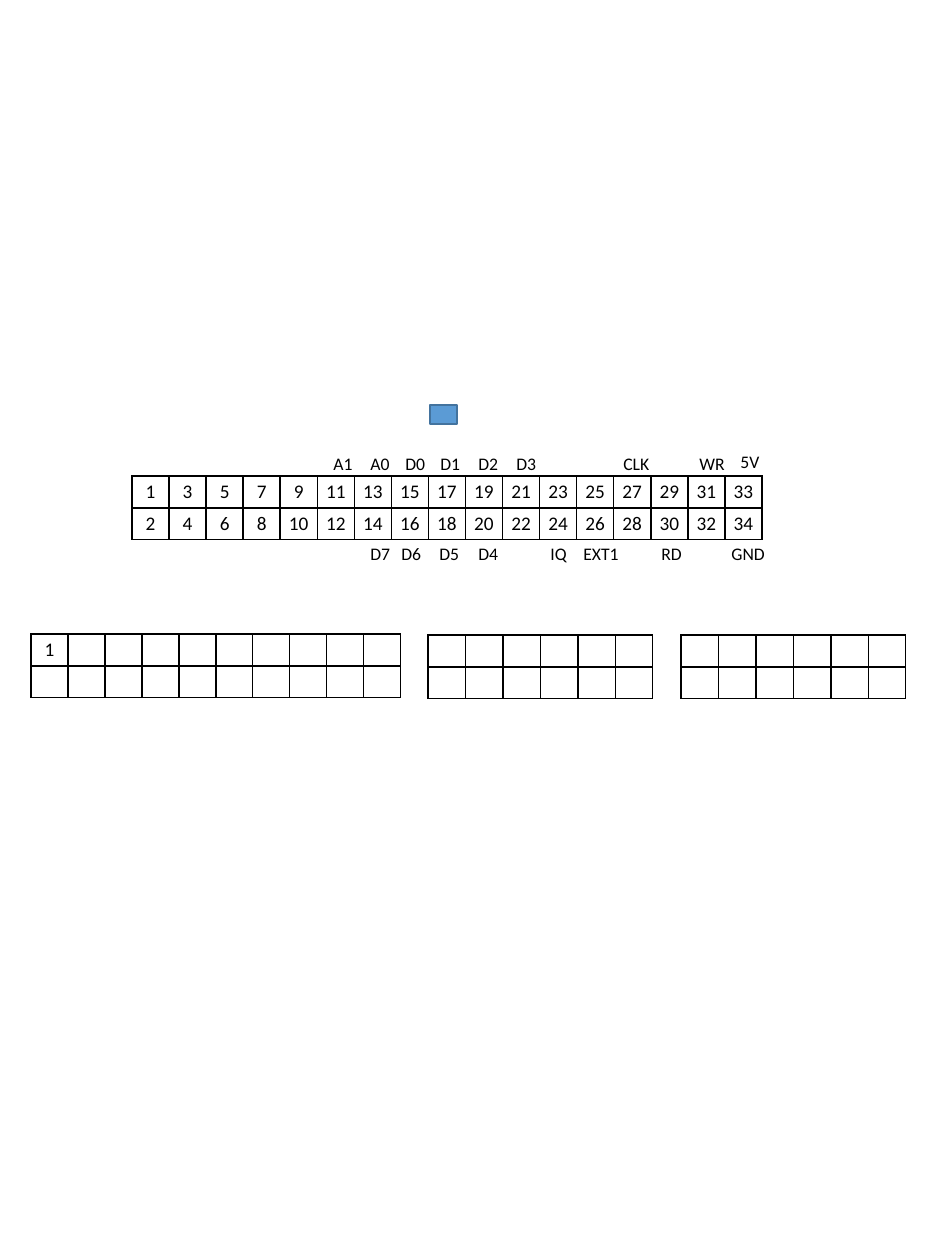
"""Build a connector pinout slide: a numbered header, signal labels and three blank headers."""
from lxml import etree
from pptx import Presentation, util as u
from pptx.dml.color import RGBColor
from pptx.enum import shapes, text
from pptx.oxml.ns import qn

SCALE = 914400 / 126
THEME = {
    "font": "Calibri",
    "ink": RGBColor.from_string("000000"),
    "fill": RGBColor.from_string("5B9BD5"),
    "edge": RGBColor.from_string("43739E"),
    "pin_size": u.Pt(11),
    "label_size": u.Pt(10.1),
    "line": u.Pt(1),
}


def px(length):
    return u.Emu(round(length * SCALE))


def write(para, words, size):
    span = para.add_run()
    span.text = words
    for name, value in {"name": THEME["font"], "size": size}.items():
        setattr(span.font, name, value)
    span.font.color.rgb = THEME["ink"]


deck = Presentation()
deck.slide_width, deck.slide_height = px(945), px(1260)
page = deck.slides.add_slide(deck.slide_layouts[6])

ROW_HEIGHT = 30
CELL_FORMAT = {
    "margin_left": px(8), "margin_right": px(8),
    "margin_top": px(4), "margin_bottom": px(4),
}
TABLE_FORMAT = {"first_row": False, "horz_banding": False}
headers = [
    (132, 476, 630, 17, 34),
    (31, 634, 370, 10, 1),
    (428, 635, 225, 6, 0),
    (681, 635, 225, 6, 0),
]
for left, top, width, columns, pins in headers:
    frame = page.shapes.add_table(2, columns, px(left), px(top), px(width), px(2 * ROW_HEIGHT))
    table = frame.table
    for name, value in TABLE_FORMAT.items():
        setattr(table, name, value)
    for column in table.columns:
        column.width = px(width / columns)
    for index in range(2 * columns):
        cell = table.cell(index % 2, index // 2)
        for name, value in CELL_FORMAT.items():
            setattr(cell, name, value)
        properties = cell._tc.get_or_add_tcPr()
        for side in ("lnL", "lnR", "lnT", "lnB"):
            border = etree.SubElement(properties, qn(f"a:{side}"), w=str(THEME["line"]))
            solid = etree.SubElement(border, qn("a:solidFill"))
            etree.SubElement(solid, qn("a:srgbClr"), val=str(THEME["ink"]))
        cell.fill.background()
        para = cell.text_frame.paragraphs[0]
        para.alignment = text.PP_ALIGN.CENTER
        if index < pins:
            write(para, str(index + 1), THEME["pin_size"])
        else:
            size = str(round(THEME["pin_size"].pt * 100))
            etree.SubElement(para._p, qn("a:endParaRPr"), sz=size)

marker = page.shapes.add_shape(shapes.MSO_SHAPE.RECTANGLE, px(430), px(405), px(27), px(19))
marker.shadow.inherit = False
marker.fill.solid()
marker.fill.fore_color.rgb = THEME["fill"]
marker.line.color.rgb = THEME["edge"]
marker.line.width = THEME["line"]

LABEL_FORMAT = {"word_wrap": False, "auto_size": text.MSO_AUTO_SIZE.SHAPE_TO_FIT_TEXT}
label_rows = {
    447: [("A1", 321, 45), ("A0", 358, 45), ("D0", 393, 45), ("D1", 428, 45), ("D2", 466, 45),
          ("D3", 504, 45), ("CLK", 611, 52), ("WR", 687, 52)],
    445: [("5V", 728, 44)],
    537: [("D7", 358, 45), ("D6", 389, 45), ("D5", 427, 45), ("D4", 466, 45), ("IQ", 538, 42),
          ("EXT1", 571, 62), ("RD", 649, 47), ("GND", 719, 59)],
}
for top, labels in label_rows.items():
    for words, left, width in labels:
        box = page.shapes.add_textbox(px(left), px(top), px(width), px(34))
        for name, value in LABEL_FORMAT.items():
            setattr(box.text_frame, name, value)
        write(box.text_frame.paragraphs[0], words, THEME["label_size"])

deck.save("out.pptx")
